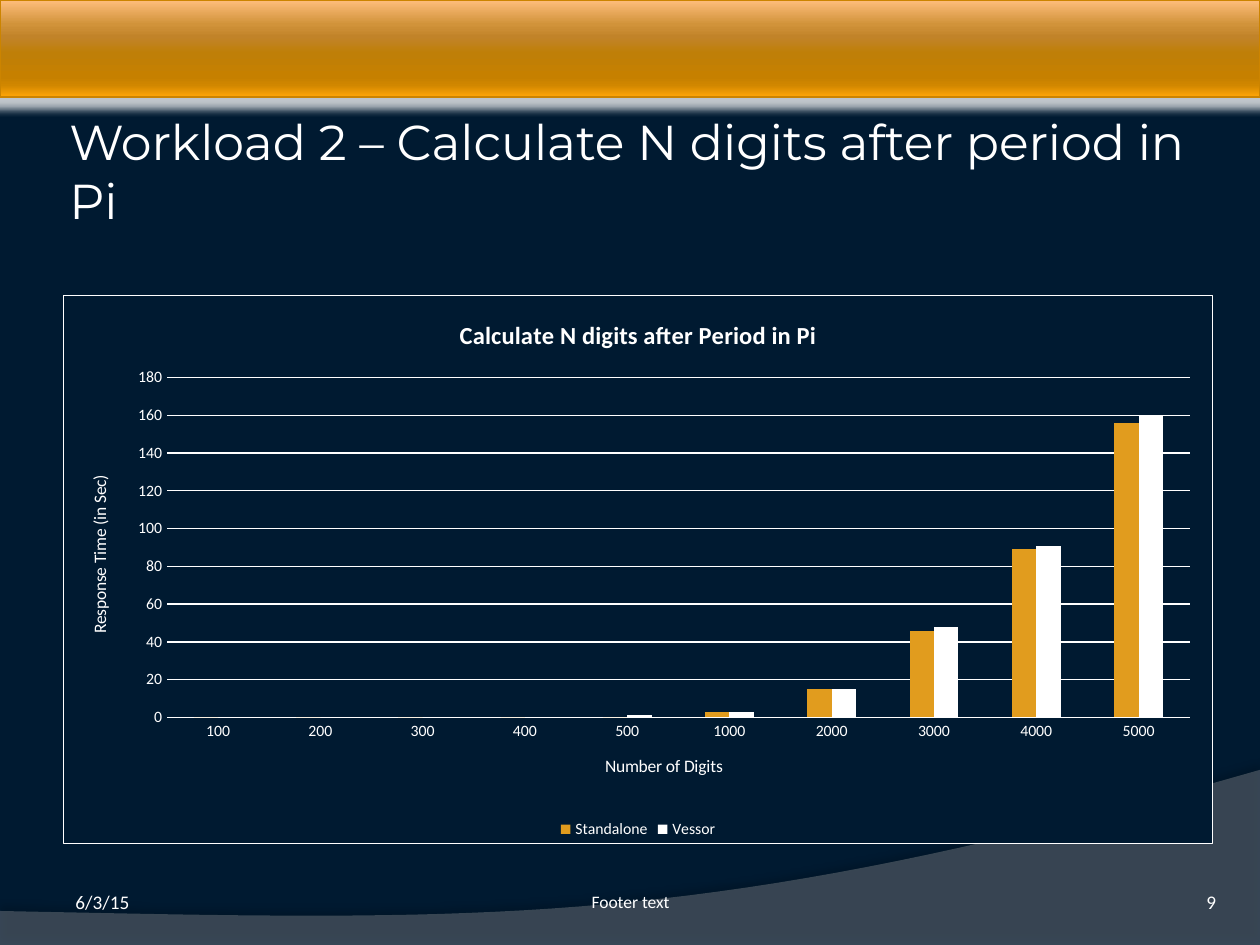
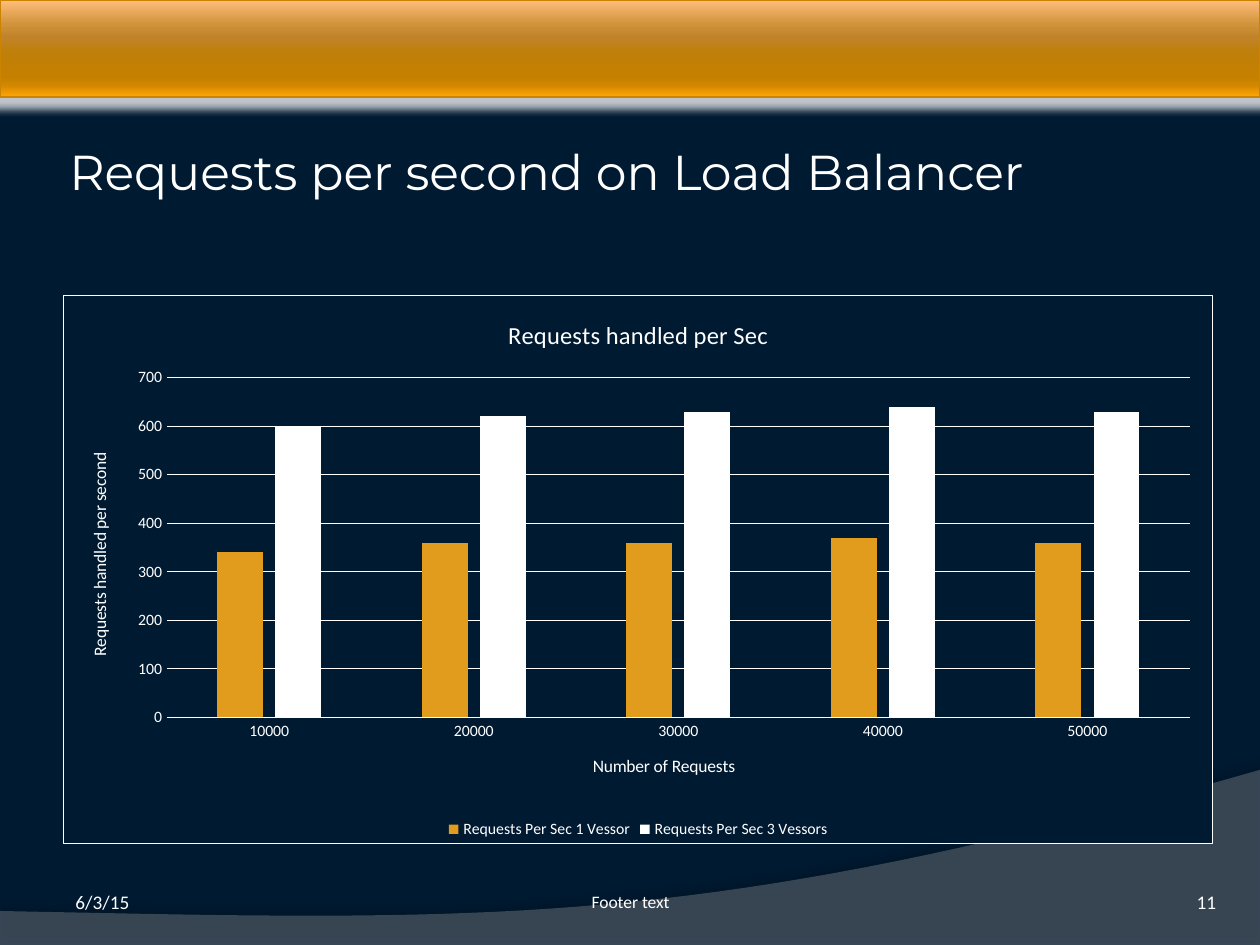
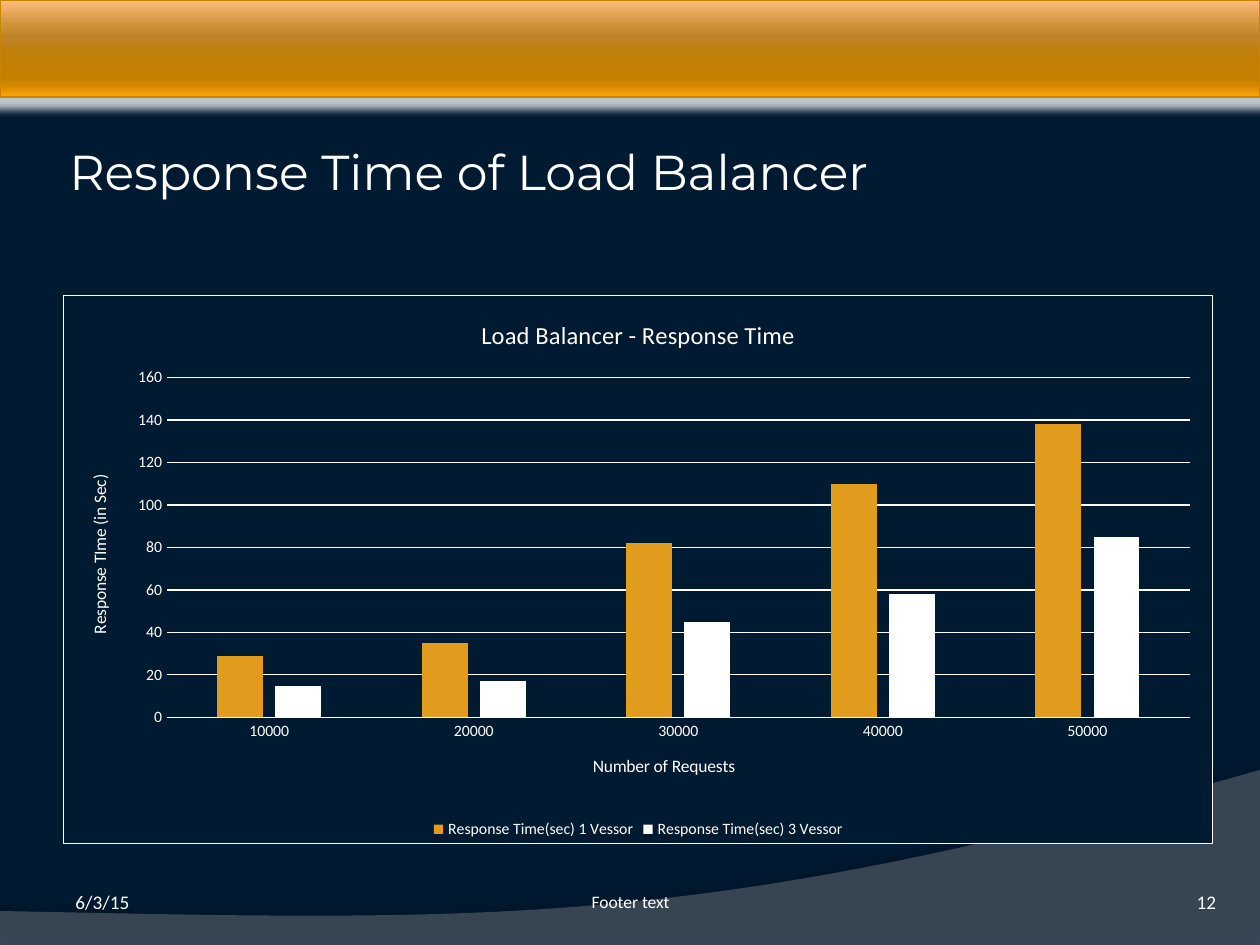
from typing import NamedTuple

from lxml import etree
from pptx import Presentation
from pptx.chart.data import CategoryChartData
from pptx.dml.color import RGBColor
from pptx.enum.chart import XL_CHART_TYPE, XL_LEGEND_POSITION, XL_TICK_MARK
from pptx.enum.shapes import MSO_SHAPE
from pptx.enum.text import MSO_ANCHOR, PP_ALIGN
from pptx.oxml import parse_xml
from pptx.oxml.ns import nsdecls, qn
from pptx.util import Pt

COLUMNS = XL_CHART_TYPE.COLUMN_CLUSTERED
BOTTOM = XL_LEGEND_POSITION.BOTTOM
NO_TICK = XL_TICK_MARK.NONE
RECT = MSO_SHAPE.RECTANGLE
TOP, MIDDLE = MSO_ANCHOR.TOP, MSO_ANCHOR.MIDDLE
LEFT, CENTER, RIGHT = PP_ALIGN.LEFT, PP_ALIGN.CENTER, PP_ALIGN.RIGHT

NAVY = RGBColor(0x00, 0x1A, 0x31)
WHITE = RGBColor(0xFF, 0xFF, 0xFF)
BLACK = RGBColor(0x00, 0x00, 0x00)
ORANGE = RGBColor(0xE1, 0x9C, 0x1E)
BAND_EDGE = RGBColor(0xCC, 0x84, 0x00)
WAVE_GREY = RGBColor(0x7C, 0x7F, 0x86)
BAND_STOPS = [
    (0, RGBColor(0xFF, 0xBE, 0x7C)),
    (25, RGBColor(0xD1, 0x93, 0x3A)),
    (38, RGBColor(0xC1, 0x83, 0x29)),
    (55, RGBColor(0xBF, 0x7F, 0x08)),
    (80, RGBColor(0xC6, 0x80, 0x00)),
    (88, RGBColor(0xD1, 0x87, 0x00)),
    (100, RGBColor(0xFF, 0xA5, 0x07)),
]
SERIES_COLORS = (ORANGE, WHITE)
BODY_FONT, TITLE_FONT = "Calibri", "Montserrat"
WIDTH, HEIGHT = 720, 540
THIN = Pt(0.75)


class Box(NamedTuple):
    left: float
    top: float
    width: float
    height: float

    def lengths(self) -> list:
        return [Pt(v) for v in self]


class TextStyle(NamedTuple):
    box: Box
    size: float
    font: str = BODY_FONT
    align: PP_ALIGN = LEFT
    anchor: MSO_ANCHOR = TOP
    inset: float = 7.2


class ChartSlide(NamedTuple):
    number: int
    title: str
    chart_title: str
    x_title: str
    y_title: str
    categories: list
    series: dict
    y_max: int
    y_step: int
    overlap: int = -27
    bold: bool = False


BAND = Box(0, 0, WIDTH, 55.44)
CHART = Box(36, 168.48, 657.36, 313.92)
TITLE = TextStyle(Box(36, 52.56, 657.36, 90), 28, TITLE_FONT, LEFT, MIDDLE, 3.6)
DATE = TextStyle(Box(36, 505.44, 167.76, 28.8), 11)
FOOTER = TextStyle(Box(246.24, 505.44, 228.24, 28.8), 10, align=CENTER)
NUMBER = TextStyle(Box(642.24, 505.44, 59.76, 28.8), 11, align=RIGHT)
WAVE = [(720, 439.92), (402.48, 531.36), (281.52, 526.32), (0, 520.56)]
PLOT = {"x": 0.09, "y": 0.15, "w": 0.89, "h": 0.62}

REQUESTS = [10000, 20000, 30000, 40000, 50000]
SLIDES = [
    ChartSlide(
        9, "Workload 2 – Calculate N digits after period in Pi",
        "Calculate N digits after Period in Pi",
        "Number of Digits", "Response Time (in Sec)",
        [100, 200, 300, 400, 500, 1000, 2000, 3000, 4000, 5000],
        {"Standalone": [0, 0, 0, 0, 0, 3, 15, 46, 89, 156],
         "Vessor": [0, 0, 0, 0, 1, 3, 15, 48, 91, 160]},
        180, 20, overlap=0, bold=True),
    ChartSlide(
        11, "Requests per second on Load Balancer",
        "Requests handled per Sec",
        "Number of Requests", "Requests handled per second", REQUESTS,
        {"Requests Per Sec 1 Vessor": [340, 360, 360, 370, 360],
         "Requests Per Sec 3 Vessors": [600, 620, 630, 640, 630]},
        700, 100),
    ChartSlide(
        12, "Response Time of Load Balancer",
        "Load Balancer - Response Time",
        "Number of Requests", "Response TIme (in Sec)", REQUESTS,
        {"Response Time(sec) 1 Vessor": [29, 35, 82, 110, 138],
         "Response Time(sec) 3 Vessor": [15, 17, 45, 58, 85]},
        160, 20),
]


def set_font(font, size: float, name: str = BODY_FONT, bold: bool = False) -> None:
    for key, value in {"size": Pt(size), "name": name, "bold": bold}.items():
        setattr(font, key, value)
    font.color.rgb = WHITE


def add_text(s, text: str, style: TextStyle) -> None:
    tf = s.shapes.add_textbox(*style.box.lengths()).text_frame
    tf.word_wrap = True
    tf.vertical_anchor = style.anchor
    for side in ("left", "top", "right", "bottom"):
        inset = style.inset if side in ("left", "right") else 3.6
        setattr(tf, f"margin_{side}", Pt(inset))
    p = tf.paragraphs[0]
    p.alignment = style.align
    r = p.add_run()
    r.text = text
    set_font(r.font, style.size, style.font)


def add_shadow(sp, color: RGBColor, alpha: int, blur: float, dist: float, angle: int,
               x_scale: int = 100) -> None:
    sp.shadow.inherit = False
    effects = sp._element.spPr.find(qn("a:effectLst"))
    effects.append(parse_xml(
        f'<a:outerShdw {nsdecls("a")} blurRad="{Pt(blur)}" dist="{Pt(dist)}" '
        f'dir="{angle * 60000}" sx="{x_scale * 1000}" algn="t" rotWithShape="0">'
        f'<a:srgbClr val="{color}"><a:alpha val="{alpha * 1000}"/></a:srgbClr></a:outerShdw>'))


def add_band(s) -> None:
    sp = s.shapes.add_shape(RECT, *BAND.lengths())
    sp.line.color.rgb = BAND_EDGE
    sp.line.width = THIN
    sp.fill.gradient()
    stops = "".join(f'<a:gs pos="{pos * 1000}"><a:srgbClr val="{color}"/></a:gs>'
                    for pos, color in BAND_STOPS)
    old = sp._element.spPr.find(qn("a:gradFill"))
    old.getparent().replace(old, parse_xml(
        f'<a:gradFill {nsdecls("a")} rotWithShape="1"><a:gsLst>{stops}</a:gsLst>'
        '<a:lin ang="5400000" scaled="0"/></a:gradFill>'))
    add_shadow(sp, WHITE, 75, 5, 6, 90, x_scale=102)


def curve_point(t: float) -> tuple:
    weights = ((1 - t) ** 3, 3 * t * (1 - t) ** 2, 3 * t * t * (1 - t), t ** 3)
    return tuple(Pt(sum(w * pt[axis] for w, pt in zip(weights, WAVE))) for axis in (0, 1))


def add_wave(s) -> None:
    steps = 40
    curve = [curve_point(i / steps) for i in range(steps + 1)]
    fb = s.shapes.build_freeform(0, Pt(HEIGHT))
    fb.add_line_segments([(Pt(WIDTH), Pt(HEIGHT)), *curve])
    sp = fb.convert_to_shape()
    sp.fill.solid()
    sp.fill.fore_color.rgb = WAVE_GREY
    color = sp._element.spPr.find(".//" + qn("a:srgbClr"))
    etree.SubElement(color, qn("a:alpha"), val="45000")
    sp.line.fill.background()
    add_shadow(sp, BLACK, 35, 4, 3.5, 270)


def set_title(owner, text: str, size: float, bold: bool = False) -> None:
    r = owner.text_frame.paragraphs[0].add_run()
    r.text = text
    set_font(r.font, size, bold=bold)


def frame_chart(chart) -> None:
    """Fill and border of the chart area, and place of the plot."""
    root = chart.element.find(qn("c:chart"))
    root.addnext(parse_xml(
        f'<c:spPr {nsdecls("c", "a")}><a:solidFill><a:srgbClr val="{NAVY}"/></a:solidFill>'
        f'<a:ln w="{THIN}"><a:solidFill><a:srgbClr val="{WHITE}"/></a:solidFill></a:ln></c:spPr>'))
    plot_area = root.find(qn("c:plotArea"))
    for old in plot_area.findall(qn("c:layout")):
        plot_area.remove(old)
    sizes = "".join(f'<c:{key} val="{value}"/>' for key, value in PLOT.items())
    plot_area.insert(0, parse_xml(
        f'<c:layout {nsdecls("c")}><c:manualLayout><c:layoutTarget val="inner"/>'
        f'<c:xMode val="edge"/><c:yMode val="edge"/>{sizes}</c:manualLayout></c:layout>'))


def add_column_chart(s, item: ChartSlide) -> None:
    data = CategoryChartData()
    data.categories = item.categories
    for name, values in item.series.items():
        data.add_series(name, values)
    chart = s.shapes.add_chart(COLUMNS, *CHART.lengths(), data).chart
    set_font(chart.font, 10)
    set_title(chart.chart_title, item.chart_title, 14, item.bold)
    chart.chart_title.include_in_layout = False

    # Legend
    chart.has_legend = True
    chart.legend.position = BOTTOM
    chart.legend.include_in_layout = False
    set_font(chart.legend.font, 9)

    # Columns
    plot = chart.plots[0]
    for key, value in {"gap_width": 219, "overlap": item.overlap,
                       "vary_by_categories": False}.items():
        setattr(plot, key, value)
    for series, color in zip(plot.series, SERIES_COLORS):
        series.format.fill.solid()
        series.format.fill.fore_color.rgb = color

    # Axes
    x_axis, y_axis = chart.category_axis, chart.value_axis
    for axis, title in ((x_axis, item.x_title), (y_axis, item.y_title)):
        axis.major_tick_mark = axis.minor_tick_mark = NO_TICK
        set_font(axis.tick_labels.font, 9)
        set_title(axis.axis_title, title, 10)
    for key, value in {"minimum_scale": 0, "maximum_scale": item.y_max,
                       "major_unit": item.y_step, "has_major_gridlines": True}.items():
        setattr(y_axis, key, value)
    for line in (x_axis.format.line, y_axis.major_gridlines.format.line):
        line.color.rgb = WHITE
        line.width = THIN
    y_axis.format.line.fill.background()
    frame_chart(chart)


def add_slide(prs, item: ChartSlide) -> None:
    s = prs.slides.add_slide(prs.slide_layouts[6])
    s.background.fill.solid()
    s.background.fill.fore_color.rgb = NAVY
    add_band(s)
    add_wave(s)
    for text, style in ((item.title, TITLE), ("6/3/15", DATE),
                        ("Footer text", FOOTER), (str(item.number), NUMBER)):
        add_text(s, text, style)
    add_column_chart(s, item)


def main() -> None:
    prs = Presentation()
    prs.slide_width, prs.slide_height = Pt(WIDTH), Pt(HEIGHT)
    for item in SLIDES:
        add_slide(prs, item)
    prs.save("out.pptx")


if __name__ == "__main__":
    main()
